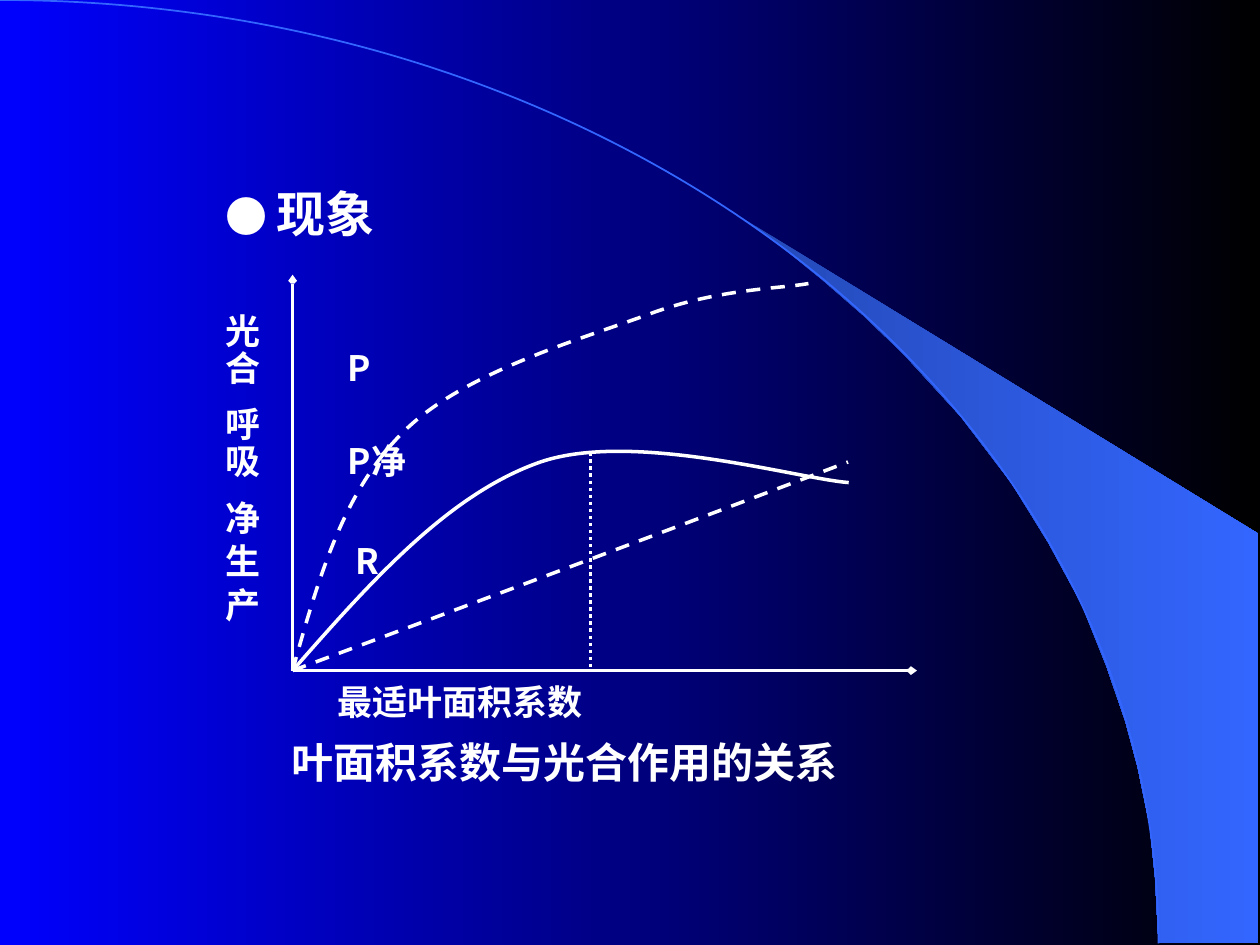
import lxml.etree
import pptx
import pptx.dml.color
import pptx.enum.dml
import pptx.enum.shapes
import pptx.enum.text
import pptx.oxml.ns
import pptx.util

FONT = "Noto Sans CJK SC"
WHITE = "FFFFFF"
BLUE = "3366FF"
DASH = pptx.enum.dml.MSO_LINE.DASH
DOT = pptx.enum.dml.MSO_LINE.ROUND_DOT
ORIGIN = (167.2, 383.2)
ARC = [(0, 0), (366, 0), (662, 241), (662, 539)]
WEDGE = [(662, 539), (719, 539), (719, 305), (424, 124.5), (449, 143), (470, 160),
         (493, 180), (516, 202), (549, 238), (578, 276), (599, 310), (618, 345),
         (632, 380), (643, 412), (650, 438), (657, 472), (660, 501)]
RESPIRATION = [ORIGIN, (299.5, 334), (432, 284), (484.6, 264)]
GROSS = [ORIGIN, (181.4, 332.6), (195.8, 281.5), (229.7, 247.7),
         (263.5, 213), (332.6, 193.7), (371.5, 179.3),
         (410.4, 164.9), (447, 164.9), (462, 162)]
NET = [ORIGIN, (211.7, 332.6), (256.3, 282.2), (309, 264),
       (362, 246), (455.8, 273.6), (485, 275.8)]
ROWS = [
    ([("● ", 24), ("现象", 28)], 29.1, 0, None),
    ([("光", 20)], 21, 41.5, None),
    ([("合\tP", 20)], 21, 0, 70),
    ([("呼", 20)], 21, 11, None),
    ([("吸\tP净", 20)], 21, 0, 70),
    ([("净", 20)], 21, 11.5, None),
    ([("生\tR", 20)], 21, 4, 74.5),
    ([("产", 20)], 21, 4, None),
    ([("\t最适叶面积系数", 20)], 21, 34.3, 64),
    ([("\t叶面积系数与光合作用的关系", 24)], 28, 8.7, 38),
]


def rgb(color):
    """Turn a hex string into a colour."""
    return pptx.dml.color.RGBColor.from_string(color)


def add_sub(parent, tag, **attrs):
    """Append a DrawingML element and return it."""
    return lxml.etree.SubElement(parent, pptx.oxml.ns.qn(tag), attrs)


def set_gradient(fill, start, end):
    """Fill with a left-to-right gradient."""
    fill.gradient()
    fill.gradient_angle = 0
    for stop, color in zip(fill.gradient_stops, (start, end)):
        stop.color.rgb = rgb(color)


def set_line(line, color, width, dash=None):
    """Set the colour, width and dash of a line."""
    line.color.rgb = rgb(color)
    line.width = pptx.util.Pt(width)
    if dash is not None:
        line.dash_style = dash


def add_outline(slide, points, close=False):
    """Add a freeform through the given points."""
    pts = [(pptx.util.Pt(x), pptx.util.Pt(y)) for x, y in points]
    builder = slide.shapes.build_freeform(*pts[0])
    builder.add_line_segments(pts[1:], close=close)
    sp = builder.convert_to_shape()
    sp.shadow.inherit = False
    return sp


def add_curve(slide, points, color=WHITE, width=2, dash=None):
    """Add an unfilled curve of joined cubic Bezier segments."""
    sp = add_outline(slide, points)
    segments = list(sp._element.iter(pptx.oxml.ns.qn("a:lnTo")))
    outline = segments[0].getparent()
    for i in range(0, len(segments), 3):
        bezier = add_sub(outline, "a:cubicBezTo")
        for segment in segments[i:i + 3]:
            bezier.append(segment[0])
            outline.remove(segment)
    sp.fill.background()
    set_line(sp.line, color, width, dash)


def add_wedge(slide):
    """Add the blue wedge beside the arc."""
    sp = add_outline(slide, WEDGE, close=True)
    set_gradient(sp.fill, "2449B6", BLUE)
    sp.line.fill.background()


def add_line(slide, start, end, dash=None, arrow=False):
    """Add a straight white line, with an arrowhead if asked."""
    ends = [pptx.util.Pt(v) for v in (*start, *end)]
    cxn = slide.shapes.add_connector(pptx.enum.shapes.MSO_CONNECTOR.STRAIGHT, *ends)
    set_line(cxn.line, WHITE, 2, dash)
    sp_pr = cxn._element.spPr
    if arrow:
        ln = sp_pr.find(pptx.oxml.ns.qn("a:ln"))
        add_sub(ln, "a:tailEnd", type="arrow", w="sm", len="sm")
    add_sub(sp_pr, "a:effectLst")


def set_font(p):
    """Set the bold white font of a paragraph."""
    p.font.name = FONT
    p.font.bold = True
    p.font.color.rgb = rgb(WHITE)
    add_sub(p._p.pPr.find(pptx.oxml.ns.qn("a:defRPr")), "a:ea", typeface=FONT)


def add_text(slide):
    """Add the heading, the axis and curve names and the captions."""
    box = slide.shapes.add_textbox(*[pptx.util.Pt(v) for v in (121.7, 105.8, 532.8, 374.4)])
    tf = box.text_frame
    tf.word_wrap = True
    for i, (runs, height, gap, tab) in enumerate(ROWS):
        p = tf.add_paragraph() if i else tf.paragraphs[0]
        p.alignment = pptx.enum.text.PP_ALIGN.JUSTIFY
        p.line_spacing = pptx.util.Pt(height)
        p.space_before = pptx.util.Pt(gap)
        if tab:
            tabs = add_sub(p._p.pPr, "a:tabLst")
            add_sub(tabs, "a:tab", pos=str(int(pptx.util.Pt(tab))), algn="l")
        set_font(p)
        for text, size in runs:
            r = p.add_run()
            r.text = text
            r.font.size = pptx.util.Pt(size)


def main():
    """Build the slide and save it."""
    prs = pptx.Presentation()
    prs.slide_width, prs.slide_height = pptx.util.Pt(720), pptx.util.Pt(540)
    slide = prs.slides.add_slide(prs.slide_layouts[6])
    set_gradient(slide.background.fill, "0000FF", "000000")
    add_wedge(slide)
    add_curve(slide, ARC, BLUE, 1)
    add_text(slide)
    add_line(slide, ORIGIN, (524, 383.2), arrow=True)
    add_line(slide, ORIGIN, (167.2, 157), arrow=True)
    add_curve(slide, RESPIRATION, dash=DASH)
    add_curve(slide, GROSS, dash=DASH)
    add_curve(slide, NET)
    add_line(slide, (337.5, 258.5), (337.5, 383.2), dash=DOT)
    prs.save("out.pptx")


if __name__ == "__main__":
    main()
